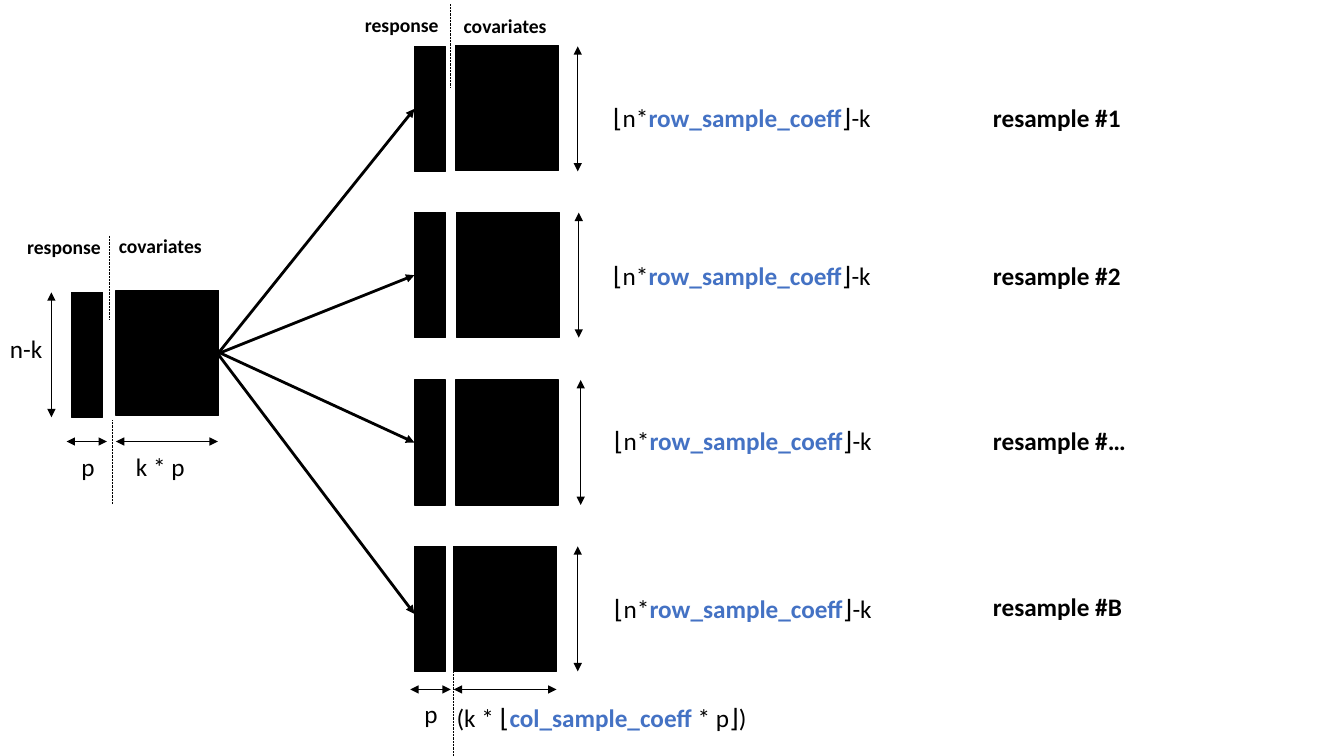
from dataclasses import dataclass

from pptx import Presentation
from pptx.dml.color import RGBColor
from pptx.enum.dml import MSO_LINE
from pptx.enum.shapes import MSO_CONNECTOR, MSO_SHAPE
from pptx.enum.text import MSO_AUTO_SIZE
from pptx.oxml.ns import qn
from pptx.slide import Slide
from pptx.util import Inches, Pt
from lxml import etree

RECTANGLE = MSO_SHAPE.RECTANGLE
STRAIGHT = MSO_CONNECTOR.STRAIGHT
DOTTED = MSO_LINE.ROUND_DOT
GROW = MSO_AUTO_SIZE.SHAPE_TO_FIT_TEXT
BLANK_LAYOUT = 6

Point = tuple[float, float]


@dataclass(frozen=True)
class Theme:
    font: str = "Calibri"
    ink: RGBColor = RGBColor(0x00, 0x00, 0x00)
    accent: RGBColor = RGBColor(0x44, 0x72, 0xC4)
    body_size: float = 18
    heading_size: float = 14
    outline: float = 1
    thin_line: float = 0.5
    branch_line: float = 2


@dataclass(frozen=True)
class Segment:
    text: str
    bold: bool = False
    accent: bool = False


@dataclass(frozen=True)
class Label:
    segments: tuple[Segment, ...]
    left: float
    top: float
    width: float
    height: float = 0.4
    size: float = Theme.body_size


@dataclass(frozen=True)
class Matrix:
    """A response column, a covariate block and the arrow measuring their rows."""
    response_left: float
    response_top: float
    covariates_left: float
    covariates_top: float
    rows_arrow_left: float


@dataclass(frozen=True)
class Resample:
    name: str
    matrix: Matrix
    branch_start: Point
    branch_end_top: float
    formula_left: float
    formula_top: float
    name_top: float


THEME = Theme()
RESPONSE_WIDTH, COVARIATES_WIDTH, MATRIX_HEIGHT = 0.31, 1.02, 1.24
RESAMPLE_LEFT = 4.11
DIVIDER_LENGTH = 0.83

SOURCE = Matrix(0.71, 2.9, 1.15, 2.88, 0.51)
RESAMPLES = [
    Resample("#1", Matrix(RESAMPLE_LEFT, 0.46, 4.52, 0.45, 5.73), (2.16, 3.51), 1.08, 5.98, 0.97, 0.97),
    Resample("#2", Matrix(RESAMPLE_LEFT, 2.11, 4.53, 2.11, 5.74), (2.16, 3.51), 2.73, 5.98, 2.53, 2.53),
    Resample("#…", Matrix(RESAMPLE_LEFT, 3.77, 4.52, 3.77, 5.76), (2.18, 3.5), 4.39, 5.99, 4.17, 4.17),
    Resample("#B", Matrix(RESAMPLE_LEFT, 5.42, 4.5, 5.42, 5.73), (2.16, 3.51), 6.09, 5.99, 5.84, 5.82),
]
DIVIDER_TOPS: list[Point] = [(1.08, 2.34), (1.11, 4.17), (4.47, 0.04), (4.5, 6.67)]
COLUMN_ARROWS: list[tuple[Point, Point]] = [
    ((0.66, 4.38), (1.06, 4.38)),
    ((1.15, 4.38), (2.16, 4.38)),
    ((4.07, 6.84), (4.47, 6.84)),
    ((4.5, 6.84), (5.52, 6.84)),
]
ROW_FORMULA = (
    Segment("⌊n*"), Segment("row_sample_coeff", bold=True, accent=True), Segment("⌋-k"),
)
COLUMN_FORMULA = (
    Segment("(k * ⌊"), Segment("col_sample_coeff", bold=True, accent=True), Segment(" * p⌋)"),
)


def heading(text: str, left: float, top: float, width: float = 1.25) -> Label:
    return Label((Segment(text, bold=True),), left, top, width, 0.34, THEME.heading_size)


LABELS = [
    Label((Segment("n-k"),), 0, 3.26, 0.58),
    Label((Segment("p"),), 0.71, 4.43, 0.49),
    Label((Segment("k * p"),), 1.25, 4.43, 0.76),
    Label((Segment("p"),), RESAMPLE_LEFT, 6.88, 0.49),
    Label(COLUMN_FORMULA, 4.43, 6.92, 3.09),
    heading("response", 0.17, 2.28),
    heading("covariates", 1.08, 2.27),
    heading("response", 3.52, 0.08, 0.93),
    heading("covariates", 4.5, 0.09),
]


def add_block(slide: Slide, left: float, top: float, width: float) -> None:
    shape = slide.shapes.add_shape(
        RECTANGLE, Inches(left), Inches(top), Inches(width), Inches(MATRIX_HEIGHT))
    shape.shadow.inherit = False
    shape.fill.solid()
    shape.fill.fore_color.rgb = THEME.ink
    shape.line.color.rgb = THEME.ink
    shape.line.width = Pt(THEME.outline)


def add_line(slide: Slide, start: Point, end: Point, width: float = THEME.thin_line,
             arrowheads: tuple[str, ...] = (), dotted: bool = False) -> None:
    """Draw a line; arrowheads names its decorated ends, headEnd before tailEnd."""
    connector = slide.shapes.add_connector(
        STRAIGHT, *(Inches(length) for length in (*start, *end)))
    connector.line.color.rgb = THEME.ink
    connector.line.width = Pt(width)
    if dotted:
        connector.line.dash_style = DOTTED
    properties = connector.element.spPr
    line_element = properties.find(qn("a:ln"))
    for arrowhead in arrowheads:
        etree.SubElement(line_element, qn(f"a:{arrowhead}"), type="triangle")
    etree.SubElement(properties, qn("a:effectLst"))


def add_measure(slide: Slide, start: Point, end: Point) -> None:
    add_line(slide, start, end, arrowheads=("headEnd", "tailEnd"))


def add_label(slide: Slide, label: Label) -> None:
    text_box = slide.shapes.add_textbox(
        Inches(label.left), Inches(label.top), Inches(label.width), Inches(label.height))
    text_frame = text_box.text_frame
    text_frame.word_wrap = True
    text_frame.auto_size = GROW
    paragraph = text_frame.paragraphs[0]
    for segment in label.segments:
        run = paragraph.add_run()
        run.text = segment.text
        run.font.name = THEME.font
        run.font.size = Pt(label.size)
        run.font.bold = segment.bold
        run.font.color.rgb = THEME.accent if segment.accent else THEME.ink


def add_matrix(slide: Slide, matrix: Matrix) -> None:
    add_block(slide, matrix.response_left, matrix.response_top, RESPONSE_WIDTH)
    add_block(slide, matrix.covariates_left, matrix.covariates_top, COVARIATES_WIDTH)
    add_measure(slide, (matrix.rows_arrow_left, matrix.response_top),
                (matrix.rows_arrow_left, matrix.response_top + MATRIX_HEIGHT))


def add_resample(slide: Slide, resample: Resample) -> None:
    add_line(slide, resample.branch_start, (RESAMPLE_LEFT, resample.branch_end_top),
             THEME.branch_line, arrowheads=("tailEnd",))
    add_matrix(slide, resample.matrix)
    add_label(slide, Label(ROW_FORMULA, resample.formula_left, resample.formula_top, 2.9))
    name = Segment(f"resample {resample.name}", bold=True)
    add_label(slide, Label((name,), 9.75, resample.name_top, 1.54))


def main() -> None:
    presentation = Presentation()
    presentation.slide_width = Inches(13.33)
    presentation.slide_height = Inches(7.5)
    slide = presentation.slides.add_slide(presentation.slide_layouts[BLANK_LAYOUT])

    add_matrix(slide, SOURCE)
    for resample in RESAMPLES:
        add_resample(slide, resample)
    for start, end in COLUMN_ARROWS:
        add_measure(slide, start, end)
    for left, top in DIVIDER_TOPS:
        add_line(slide, (left, top), (left, top + DIVIDER_LENGTH), dotted=True)
    for label in LABELS:
        add_label(slide, label)

    presentation.save("out.pptx")


if __name__ == "__main__":
    main()
